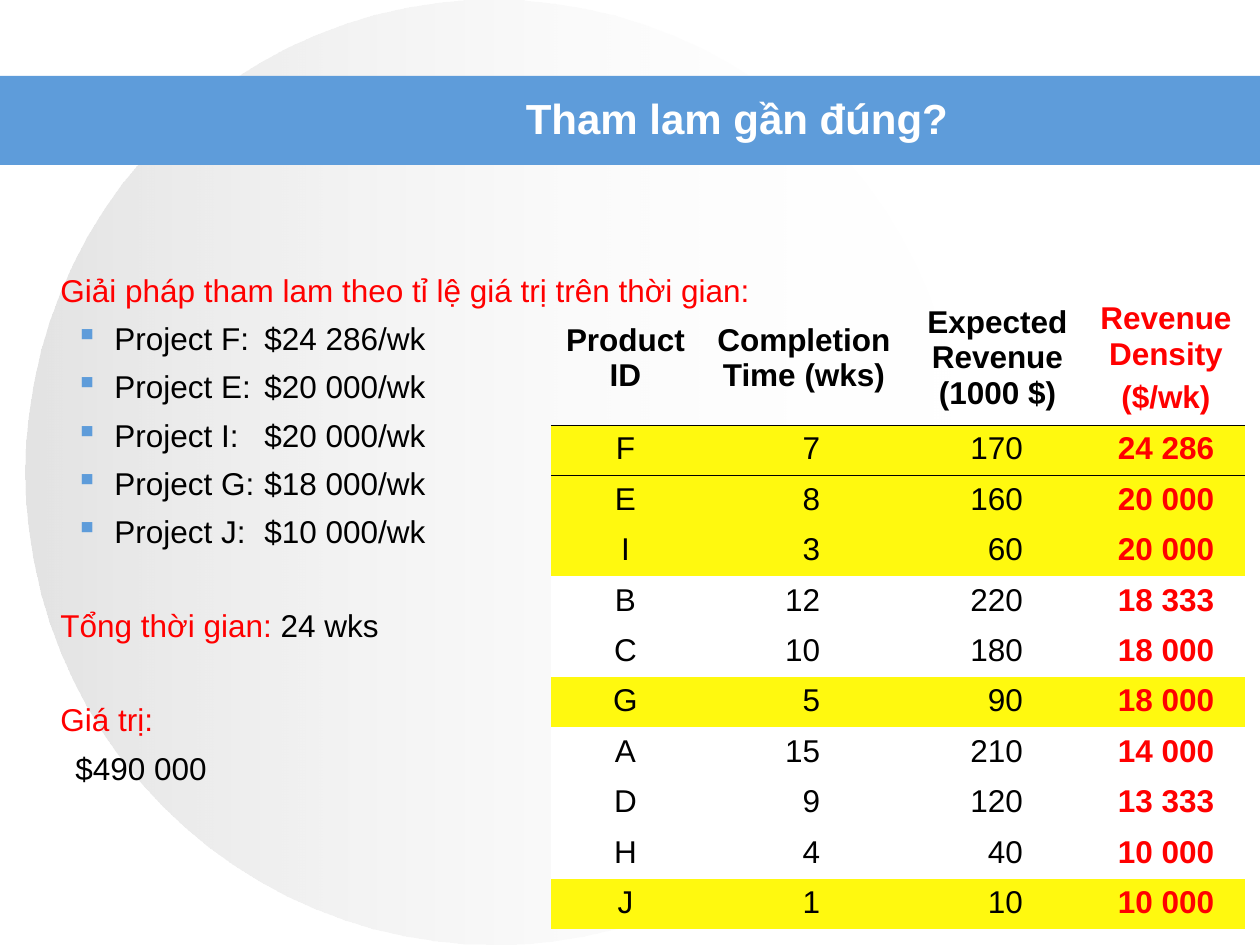
from dataclasses import dataclass

from lxml.etree import SubElement
from pptx import Presentation
from pptx.dml.color import RGBColor
from pptx.enum.shapes import MSO_SHAPE
from pptx.enum.text import MSO_ANCHOR, PP_ALIGN
from pptx.oxml.ns import qn
from pptx.util import Pt

EMU_PER_PX = 914400 / 126
FONT = "Arial"
BLACK, WHITE, RED = "000000", "FFFFFF", "FF0000"
BLUE, YELLOW, GREY = "5E9CDA", "FFF90F", "C0C0C0"
NO_STYLE = "{2D5ABB26-0587-4C30-8999-92F81FD0307C}"
SPACE = 4.5
BLANK_LINE = 26.1


@dataclass
class Column:
    heading: str
    width: int
    right_margin: int = 10
    align: PP_ALIGN = PP_ALIGN.CENTER
    color: str = BLACK
    bold: bool = False


@dataclass
class Project:
    name: str
    weeks: int
    revenue: int
    density: str
    chosen: bool = False


@dataclass
class Line:
    runs: list[tuple[str, str]]
    indent: int = 48
    bullet: bool = False
    before: float = SPACE


COLUMNS = [
    Column("Product ID", 149),
    Column("Completion Time (wks)", 208, 88, PP_ALIGN.RIGHT),
    Column("Expected Revenue (1000 $)", 179, 64, PP_ALIGN.RIGHT),
    Column("Revenue Density\n($/wk)", 158, color=RED, bold=True),
]
PROJECTS = [
    Project("F", 7, 170, "24 286", True),
    Project("E", 8, 160, "20 000", True),
    Project("I", 3, 60, "20 000", True),
    Project("B", 12, 220, "18 333"),
    Project("C", 10, 180, "18 000"),
    Project("G", 5, 90, "18 000", True),
    Project("A", 15, 210, "14 000"),
    Project("D", 9, 120, "13 333"),
    Project("H", 4, 40, "10 000"),
    Project("J", 1, 10, "10 000", True),
]
LINES = [
    Line([("Giải pháp tham lam theo tỉ lệ giá trị trên thời gian:", RED)]),
    *(Line([(f"Project {p.name}:\t${p.density}/wk", BLACK)], 102, True)
      for p in PROJECTS if p.chosen),
    Line([("Tổng thời gian: ", RED), ("24 wks", BLACK)], before=SPACE + BLANK_LINE),
    Line([("Giá trị:", RED)], before=SPACE + BLANK_LINE),
    Line([("$490 000", BLACK)], 63),
]


def px(n: int) -> int:
    return round(n * EMU_PER_PX)


def rgb(color: str) -> RGBColor:
    return RGBColor.from_string(color)


def style_run(r, color: str, size: int = 18, bold: bool = False) -> None:
    r.font.name, r.font.size, r.font.bold = FONT, Pt(size), bold
    r.font.color.rgb = rgb(color)


def add_plain_shape(slide, kind: MSO_SHAPE, x: int, y: int, w: int, h: int):
    s = slide.shapes.add_shape(kind, px(x), px(y), px(w), px(h))
    s.shadow.inherit = False
    s.line.fill.background()
    return s


def add_background(slide) -> None:
    circle = add_plain_shape(slide, MSO_SHAPE.OVAL, 25, 0, 937, 945)
    circle.fill.gradient()
    circle.fill.gradient_angle = 0
    for stop, color in zip(circle.fill.gradient_stops, (GREY, WHITE)):
        stop.color.rgb = rgb(color)
    stops = circle._element.spPr.iter(qn("a:srgbClr"))
    for clr, percent in zip(stops, (44, 0)):
        SubElement(clr, qn("a:alpha"), val=str(percent * 1000))
    band = add_plain_shape(slide, MSO_SHAPE.RECTANGLE, 0, 76, 1260, 89)
    band.fill.solid()
    band.fill.fore_color.rgb = rgb(BLUE)


def add_text_frame(slide, x: int, y: int, w: int, h: int):
    tf = slide.shapes.add_textbox(px(x), px(y), px(w), px(h)).text_frame
    tf.word_wrap = True
    return tf


def add_title(slide, text: str) -> None:
    tf = add_text_frame(slide, 217, 84, 1040, 67)
    tf.vertical_anchor = MSO_ANCHOR.MIDDLE
    tf.text = text
    p = tf.paragraphs[0]
    p.alignment = PP_ALIGN.CENTER
    style_run(p.runs[0], WHITE, 24, True)


def add_bullet(p, hanging: int, tab: int) -> None:
    pPr = p._p.get_or_add_pPr()
    pPr.set("indent", str(-px(hanging)))
    SubElement(SubElement(pPr, qn("a:buClr")), qn("a:srgbClr"), val=BLUE)
    SubElement(pPr, qn("a:buChar"), char="▪")
    tabs = SubElement(pPr, qn("a:tabLst"))
    SubElement(tabs, qn("a:tab"), pos=str(px(tab)), algn="l")


def add_body(slide, lines: list[Line]) -> None:
    tf = add_text_frame(slide, 0, 262, 1139, 640)
    for i, line in enumerate(lines):
        p = tf.add_paragraph() if i else tf.paragraphs[0]
        p.line_spacing = 1.07
        p.space_before = Pt(line.before)
        p._p.get_or_add_pPr().set("marL", str(px(line.indent)))
        if line.bullet:
            add_bullet(p, hanging=39, tab=252)
        for text, color in line.runs:
            r = p.add_run()
            r.text = text
            style_run(r, color)


def add_border(cell, side: str) -> None:
    ln = SubElement(cell._tc.get_or_add_tcPr(), qn(f"a:{side}"), w=str(Pt(0.45)))
    SubElement(SubElement(ln, qn("a:solidFill")), qn("a:srgbClr"), val=BLACK)


def fill_cell(cell, text: str, align: PP_ALIGN, color: str, bold: bool) -> None:
    cell.text_frame.text = text
    for p in cell.text_frame.paragraphs:
        p.alignment = align
        p.space_before = Pt(SPACE)
        style_run(p.runs[0], color, bold=bold)


def add_project_table(slide, columns: list[Column], projects: list[Project]) -> None:
    width = sum(c.width for c in columns)
    frame = slide.shapes.add_table(len(projects) + 1, len(columns),
                                   px(551), px(291), px(width), px(638))
    table = frame.table
    table.first_row = table.horz_banding = False
    table._tbl.tblPr.find(qn("a:tableStyleId")).text = NO_STYLE
    for row in table.rows:
        row.height = px(504) // len(projects)
    table.rows[0].height = px(134)

    for j, col in enumerate(columns):
        table.columns[j].width = px(col.width)
        head = table.cell(0, j)
        head.vertical_anchor = MSO_ANCHOR.MIDDLE
        head.margin_left = head.margin_right = px(10)
        fill_cell(head, col.heading, PP_ALIGN.CENTER, col.color, True)
        add_border(head, "lnB")
        for i, project in enumerate(projects, 1):
            values = (project.name, project.weeks, project.revenue, project.density)
            cell = table.cell(i, j)
            cell.margin_left, cell.margin_right = px(10), px(col.right_margin)
            fill_cell(cell, str(values[j]), col.align, col.color, col.bold)
            if i == 1:
                add_border(cell, "lnT")
            cell.fill.solid()
            cell.fill.fore_color.rgb = rgb(YELLOW if project.chosen else WHITE)


def main() -> None:
    prs = Presentation()
    prs.slide_width, prs.slide_height = px(1260), px(945)
    slide = prs.slides.add_slide(prs.slide_layouts[6])
    add_background(slide)
    add_project_table(slide, COLUMNS, PROJECTS)
    add_title(slide, "Tham lam gần đúng?")
    add_body(slide, LINES)
    prs.save("out.pptx")


if __name__ == "__main__":
    main()
